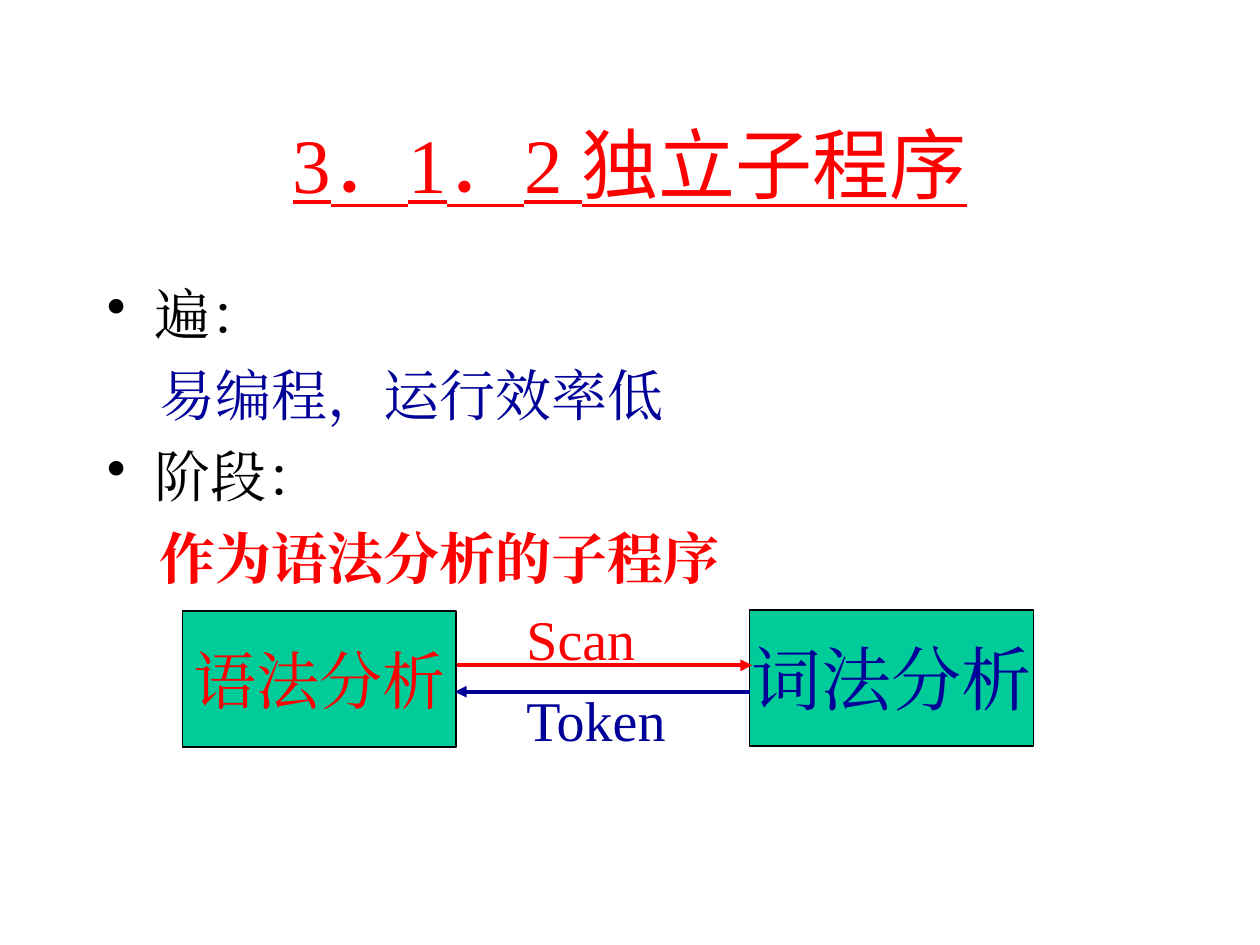
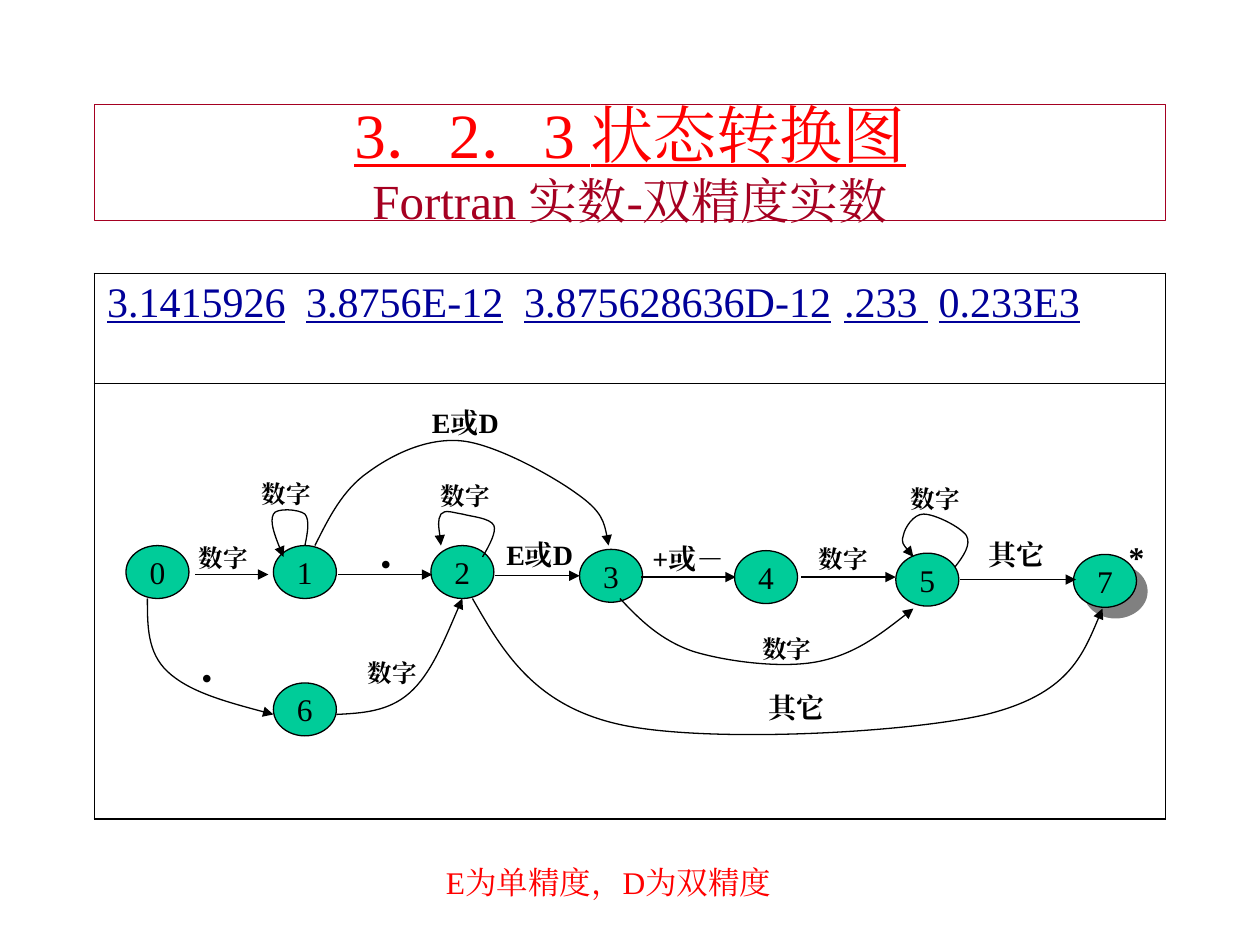
from lxml import etree
from pptx import Presentation
from pptx.dml.color import RGBColor
from pptx.enum import shapes, text
from pptx.oxml.ns import qn
from pptx.util import Inches, Pt

RED = RGBColor(0xFF, 0x00, 0x00)
CRIMSON = RGBColor(0xA5, 0x00, 0x21)
NAVY = RGBColor(0x00, 0x00, 0x99)
GREEN = RGBColor(0x00, 0xCC, 0x99)
BLACK = RGBColor(0x00, 0x00, 0x00)
SERIF, SANS = "Times New Roman", "Noto Sans CJK SC"
CENTER = text.PP_ALIGN.CENTER
MIDDLE = text.MSO_ANCHOR.MIDDLE


def sub(parent, tag, **attributes):
    return etree.SubElement(parent, qn(tag), {k: str(v) for k, v in attributes.items()})


class Deck:
    """Style and drawing methods for the current slide."""

    def __init__(self):
        self.prs = Presentation()
        self.prs.slide_width, self.prs.slide_height = Inches(10), Inches(7.5)
        self.slide = None

    def new_slide(self):
        self.slide = self.prs.slides.add_slide(self.prs.slide_layouts[5])

    def run(self, paragraph, words, size, color, face=SERIF, **formats):
        run = paragraph.add_run()
        run.text = words
        run.font.color.rgb = color
        for key, value in dict(size=Pt(size), name=face, **formats).items():
            setattr(run.font, key, value)
        sub(run._r.get_or_add_rPr(), "a:ea", typeface=face)

    def title(self, top, height):
        title = self.slide.shapes.title
        box = dict(left=0.75, top=top, width=8.5, height=height)
        for key, value in box.items():
            setattr(title, key, Inches(value))
        frame = title.text_frame
        frame.auto_size = text.MSO_AUTO_SIZE.NONE
        frame.vertical_anchor = MIDDLE
        frame.paragraphs[0].alignment = CENTER
        return title, frame.paragraphs[0]

    def textbox(self, x, y, w, h, wrap=True):
        box = self.slide.shapes.add_textbox(Inches(x), Inches(y), Inches(w), Inches(h))
        box.text_frame.word_wrap = wrap
        return box.text_frame

    def label(self, words, x, y, w, h, size, color=BLACK, bold=True, wrap=True):
        frame = self.textbox(x, y, w, h, wrap)
        self.run(frame.paragraphs[0], words, size, color, bold=bold)

    def node(self, kind, words, x, y, w, h, size, color=BLACK):
        node = self.slide.shapes.add_shape(kind, Inches(x), Inches(y), Inches(w), Inches(h))
        node.shadow.inherit = False
        node.fill.solid()
        node.fill.fore_color.rgb = GREEN
        node.line.color.rgb = BLACK
        node.line.width = Pt(0.75)
        frame = node.text_frame
        frame.word_wrap = False
        frame.vertical_anchor = MIDDLE
        frame.paragraphs[0].alignment = CENTER
        self.run(frame.paragraphs[0], words, size, color)
        return node

    def drop_shadow(self, shape):
        effects = shape._element.spPr.find(qn("a:effectLst"))
        shadow = sub(effects, "a:outerShdw", blurRad=0, dist=Pt(8.5), dir=45 * 60000,
                     algn="ctr", rotWithShape=0)
        sub(shadow, "a:srgbClr", val="808080")

    def arrowhead(self, line, color, width):
        line.color.rgb = color
        line.width = Pt(width)
        sub(line._get_or_add_ln(), "a:tailEnd", type="triangle")

    def arrow(self, x1, x2, y, color=BLACK, width=0.75):
        arrow = self.slide.shapes.add_connector(
            shapes.MSO_CONNECTOR.STRAIGHT, Inches(x1), Inches(y), Inches(x2), Inches(y))
        self.arrowhead(arrow.line, color, width)
        sub(arrow._element.spPr, "a:effectLst")

    def curve(self, *points):
        """Start point, then two control points and an end point per Bezier piece."""
        start, *rest = [(Inches(x), Inches(y)) for x, y in points]
        builder = self.slide.shapes.build_freeform(*start)
        builder.add_line_segments(rest, close=False)
        curve = builder.convert_to_shape()
        curve.shadow.inherit = False
        curve.fill.background()
        self.arrowhead(curve.line, BLACK, 0.75)
        segments = list(curve._element.iter(qn("a:lnTo")))
        outline = segments[0].getparent()
        for i in range(0, len(segments), 3):
            bezier = sub(outline, "a:cubicBezTo")
            for segment in segments[i:i + 3]:
                bezier.append(segment[0])
                outline.remove(segment)

    def cell_borders(self, cell, **widths):
        properties = cell._tc.get_or_add_tcPr()
        for i, (side, width) in enumerate(widths.items()):
            border = etree.Element(qn("a:" + side), w=str(Pt(width)))
            sub(sub(border, "a:solidFill"), "a:srgbClr", val=str(BLACK))
            properties.insert(i, border)


def subroutine_slide(deck):
    deck.new_slide()
    _, heading = deck.title(0.67, 1.25)
    for words, face in (("3", SERIF), ("．", SANS), ("1", SERIF), ("．", SANS),
                        ("2 ", SERIF), ("独立子程序", SANS)):
        deck.run(heading, words, 44, RED, face, underline=True)

    # Pass and phase: words, colour, bold, left margin, bulleted
    points = [("遍：", BLACK, False, 0.38, True),
              ("易编程，运行效率低", NAVY, False, 0.42, False),
              ("阶段：", BLACK, False, 0.38, True),
              ("作为语法分析的子程序", RED, True, 0.42, False),
              ("Scan", RED, False, 3.33, False),
              ("Token", NAVY, False, 3.33, False)]
    body = deck.textbox(0.75, 2.17, 8.5, 4.5)
    for i, (words, color, bold, margin, bulleted) in enumerate(points):
        point = body.add_paragraph() if i else body.paragraphs[0]
        if i:
            point.space_before = Pt(8)
        properties = point._p.get_or_add_pPr()
        properties.set("marL", str(Inches(margin)))
        if bulleted:
            properties.set("indent", str(-Inches(margin)))
            sub(properties, "a:buChar", char="•")
        deck.run(point, words, 32, color, bold=bold)

    # Parser and scanner
    rectangle = shapes.MSO_SHAPE.RECTANGLE
    deck.node(rectangle, "语法分析", 1.45, 4.85, 2.17, 1.08, 36, RED)
    deck.node(rectangle, "词法分析", 5.95, 4.84, 2.25, 1.08, 40, NAVY)
    deck.arrow(5.95, 3.61, 5.49, NAVY, 2.25)
    deck.arrow(3.63, 5.97, 5.28, RED, 2.25)


def transition_slide(deck):
    deck.new_slide()
    title, heading = deck.title(0.83, 0.92)
    title.line.color.rgb = CRIMSON
    title.line.width = Pt(0.75)
    deck.run(heading, "3．2．3 状态转换图", 36, RED, underline=True)
    heading.add_line_break()
    deck.run(heading, "Fortran 实数-双精度实数", 28, CRIMSON)

    # Table of sample numbers above the diagram area
    frame = deck.slide.shapes.add_table(2, 1, Inches(0.75), Inches(2.17), Inches(8.5), Inches(4.33))
    table = frame.table
    table.first_row = table.horz_banding = False
    for row, height, top, bottom in ((0, 0.87, 1.08, 0.45), (1, 3.46, 0.45, 1.08)):
        table.rows[row].height = Inches(height)
        cell = table.cell(row, 0)
        cell.fill.background()
        deck.cell_borders(cell, lnL=1.08, lnR=1.08, lnT=top, lnB=bottom)
    samples = table.cell(0, 0).text_frame.paragraphs[0]
    stops = sub(samples._p.get_or_add_pPr(), "a:tabLst")
    for stop in (1.58, 3.31, 5.85, 6.6):
        sub(stops, "a:tab", pos=Inches(stop), algn="l")
    numbers = ("3.1415926", "3.8756E-12", "3.875628636D-12", ".233 ", "0.233E3")
    for i, number in enumerate(numbers):
        if i:
            deck.run(samples, "\t", 24, NAVY)
        deck.run(samples, number, 24, NAVY, underline=True)

    # States
    states = {"0": (1, 4.33), "1": (2.17, 4.33), "2": (3.42, 4.33), "3": (4.6, 4.36),
              "4": (5.83, 4.37), "5": (7.11, 4.39), "7": (8.52, 4.4), "6": (2.17, 5.42)}
    for name, (x, y) in states.items():
        state = deck.node(shapes.MSO_SHAPE.OVAL, name, x, y, 0.5, 0.42, 18)
        if name == "7":
            deck.drop_shadow(state)

    # Straight transitions
    for x1, x2, y in ((1.55, 2.13, 4.56), (2.68, 3.43, 4.56), (3.93, 4.6, 4.57),
                      (5.09, 5.84, 4.58), (6.36, 7.11, 4.58), (7.62, 8.54, 4.6)):
        deck.arrow(x1, x2, y)

    # Curved transitions: 0-6, 6-2, 1-1, 2-2, 1-3, 5-5, 3-5, 2-7
    deck.curve((1.17, 4.75), (1.17, 4.97), (1.17, 5.18), (1.33, 5.33),
               (1.5, 5.49), (1.83, 5.58), (2.17, 5.67))
    deck.curve((2.67, 5.67), (2.87, 5.66), (3.08, 5.65), (3.25, 5.5),
               (3.42, 5.35), (3.54, 5.05), (3.67, 4.75))
    deck.curve((2.42, 4.33), (2.44, 4.23), (2.46, 4.13), (2.42, 4.08),
               (2.37, 4.04), (2.19, 4.03), (2.17, 4.08),
               (2.14, 4.14), (2.19, 4.28), (2.25, 4.42))
    deck.curve((3.83, 4.42), (3.89, 4.32), (3.94, 4.22), (3.92, 4.17),
               (3.89, 4.11), (3.74, 4.1), (3.67, 4.08),
               (3.6, 4.07), (3.53, 4.04), (3.5, 4.08),
               (3.47, 4.13), (3.49, 4.23), (3.5, 4.33))
    deck.curve((2.5, 4.33), (2.61, 4.11), (2.72, 3.89), (2.92, 3.75),
               (3.11, 3.61), (3.39, 3.47), (3.67, 3.5),
               (3.94, 3.53), (4.39, 3.78), (4.58, 3.92),
               (4.78, 4.06), (4.81, 4.19), (4.83, 4.33))
    deck.curve((7.58, 4.5), (7.65, 4.41), (7.71, 4.32), (7.67, 4.25),
               (7.62, 4.18), (7.42, 4.08), (7.33, 4.08),
               (7.25, 4.08), (7.18, 4.19), (7.17, 4.25),
               (7.15, 4.31), (7.2, 4.36), (7.25, 4.42))
    deck.curve((4.92, 4.75), (5.08, 4.92), (5.24, 5.08), (5.5, 5.17),
               (5.76, 5.25), (6.21, 5.31), (6.5, 5.25),
               (6.79, 5.19), (7.02, 5.01), (7.25, 4.83))
    deck.curve((3.75, 4.75), (3.99, 5.17), (4.24, 5.6), (4.92, 5.75),
               (5.6, 5.9), (7.19, 5.82), (7.83, 5.67),
               (8.47, 5.51), (8.61, 5.17), (8.75, 4.83))

    # Transition labels
    for x, y in ((1.48, 4.26), (1.98, 3.75), (3.4, 3.77), (2.82, 5.17),
                 (5.95, 4.98), (6.4, 4.27), (7.13, 3.79)):
        deck.label("数字", x, y, 0.6, 0.34, 14)
    for x, y in ((3.33, 3.17), (3.92, 4.22)):
        deck.label("E或D", x, y, 0.75, 0.64, 16)
    for x, y in ((6, 5.43), (7.75, 4.22)):
        deck.label("其它", x, y, 0.75, 0.37, 16)
    for x, y in ((1.5, 5.17), (2.92, 4.27)):
        deck.label("•", x, y, 0.33, 0.4, 18, bold=False)
    deck.label("+或－", 5.08, 4.25, 0.83, 0.37, 16)
    deck.label("*", 8.86, 4.22, 0.33, 0.4, 18)
    deck.label("E为单精度，D为双精度", 3.44, 6.8, 2.96, 0.4, 18, RED, bold=False, wrap=False)


def main():
    deck = Deck()
    subroutine_slide(deck)
    transition_slide(deck)
    deck.prs.save("out.pptx")


if __name__ == "__main__":
    main()
